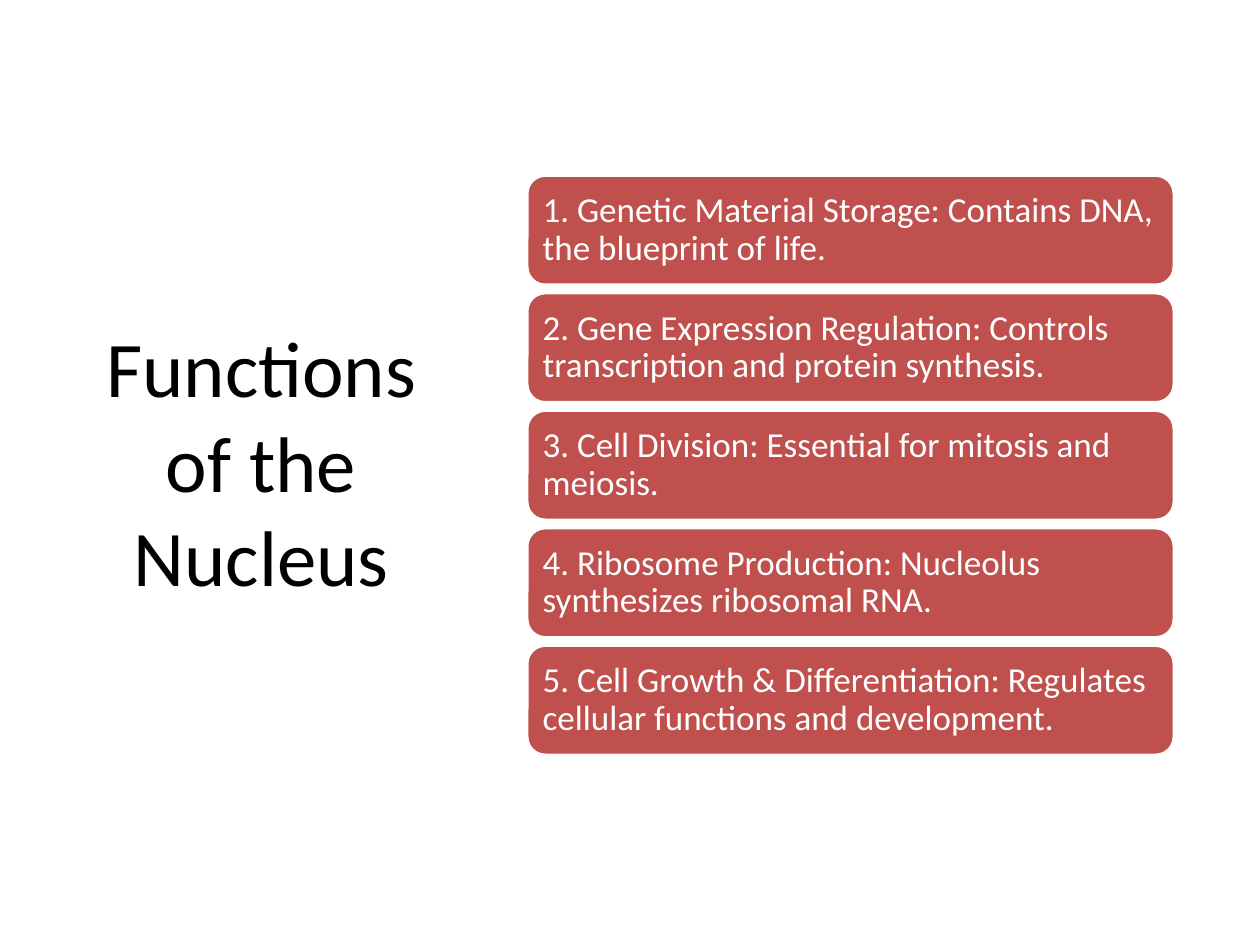
"""Build the slide on the functions of the nucleus."""
from pptx import Presentation
from pptx.dml.color import RGBColor as RGB
from pptx.enum.shapes import MSO_SHAPE as Shape
from pptx.enum.text import MSO_ANCHOR as Anchor, PP_ALIGN as Align
from pptx.util import Pt

TITLE = "Functions of the Nucleus"
ROLES = [
    "1. Genetic Material Storage: Contains DNA, the blueprint of life.",
    "2. Gene Expression Regulation: Controls transcription and protein synthesis.",
    "3. Cell Division: Essential for mitosis and meiosis.",
    "4. Ribosome Production: Nucleolus synthesizes ribosomal RNA.",
    "5. Cell Growth & Differentiation: Regulates cellular functions and development.",
]
THEME = {
    "font": "Calibri",
    "dark": RGB(0, 0, 0),
    "light": RGB(255, 255, 255),
    "card": RGB(0xBF, 0x50, 0x4D),
    "title": 45,
    "body": 20,
}
LEFT, TOP, WIDTH, HIGH, GAP = 301, 100.1, 370, 62.9, 4.25


def write(shape, text, size, color, align, pad, lead=1.0):
    """Put formatted text in a shape."""
    frame = shape.text_frame
    frame.word_wrap = True
    frame.vertical_anchor = Anchor.MIDDLE
    frame.margin_left = frame.margin_right = Pt(pad[0])
    frame.margin_top = frame.margin_bottom = Pt(pad[1])
    para = frame.paragraphs[0]
    para.text = text
    para.alignment = align
    para.line_spacing = lead
    para.font.name = THEME["font"]
    para.font.size = Pt(size)
    para.font.color.rgb = color


def main():
    """Draw the title and the cards, then save."""
    deck = Presentation()
    deck.slide_width, deck.slide_height = Pt(720), Pt(540)
    shapes = deck.slides.add_slide(deck.slide_layouts[6]).shapes

    title = shapes.add_textbox(Pt(49.5), Pt(44), Pt(199.5), Pt(438.5))
    write(title, TITLE, THEME["title"], THEME["dark"], Align.CENTER, (7.2, 3.6))

    for row, role in enumerate(ROLES):
        top = TOP + row * (HIGH + GAP)
        card = shapes.add_shape(
            Shape.ROUNDED_RECTANGLE, Pt(LEFT), Pt(top), Pt(WIDTH), Pt(HIGH))
        card.shadow.inherit = False
        card.fill.solid()
        card.fill.fore_color.rgb = THEME["card"]
        card.line.color.rgb = THEME["light"]
        card.line.width = Pt(2)
        write(card, role, THEME["body"], THEME["light"], Align.LEFT, (6, 6), lead=0.9)

    deck.save("out.pptx")


if __name__ == "__main__":
    main()
